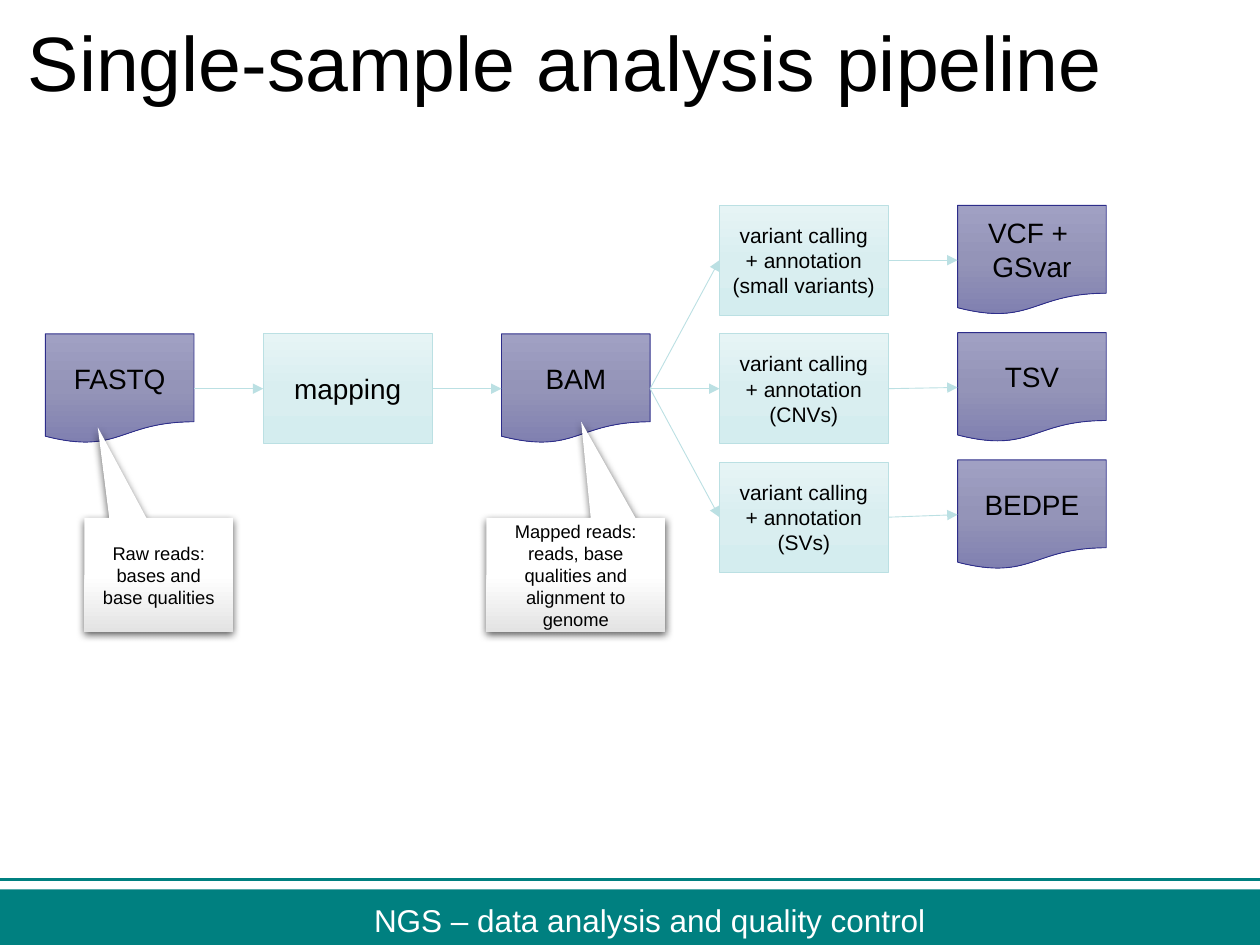
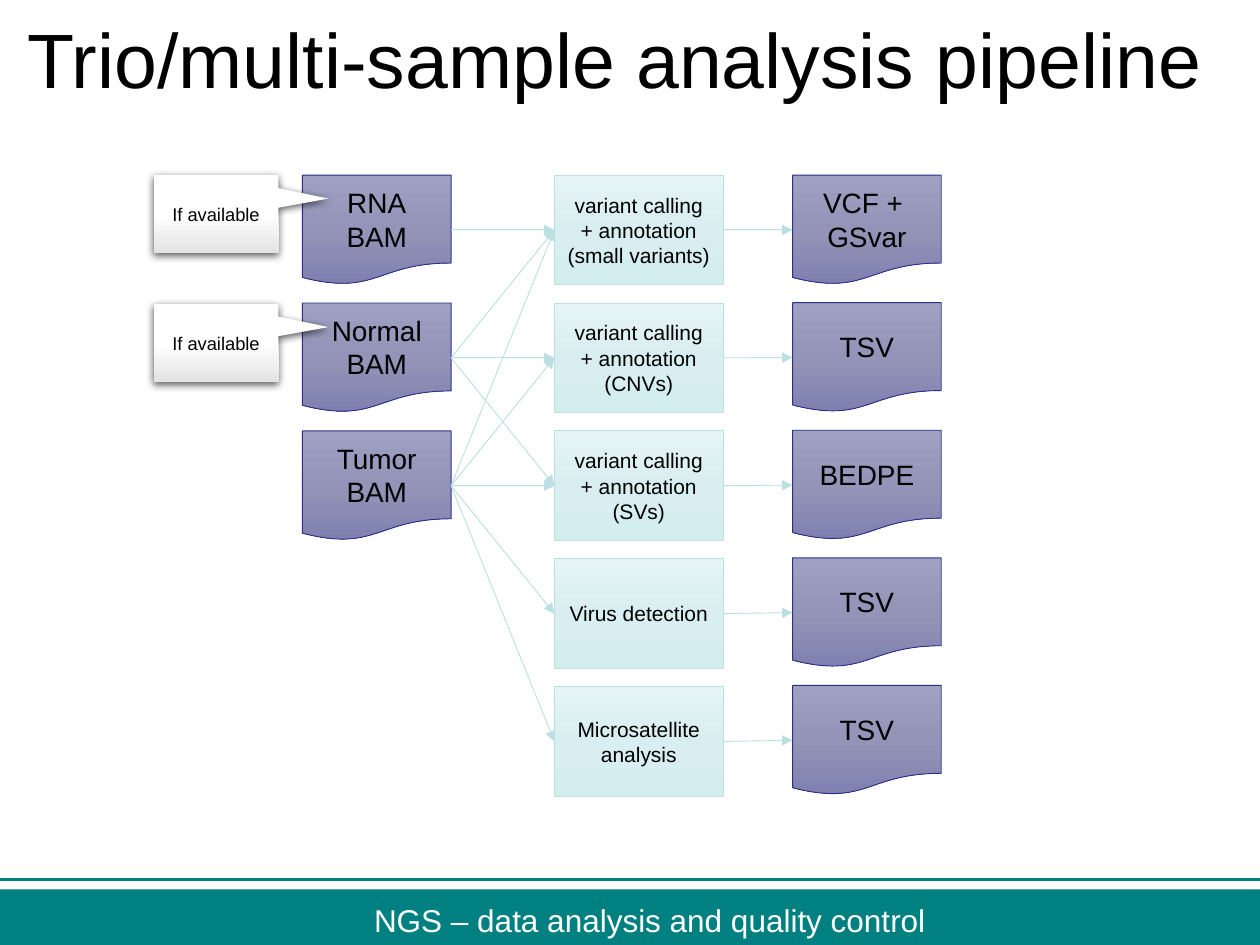
"""Build two slides that show sequencing analysis pipelines as flow charts."""
from copy import deepcopy

from lxml.etree import SubElement
from pptx import Presentation
from pptx.dml.color import RGBColor
from pptx.enum.shapes import MSO_CONNECTOR, MSO_SHAPE
from pptx.enum.text import MSO_ANCHOR, PP_ALIGN
from pptx.oxml.ns import qn
from pptx.util import Inches, Pt

FOOTER = "NGS – data analysis and quality control"
TEAL, BLACK, WHITE, ARROW = "008080", "000000", "FFFFFF", "BBE0E3"
BOX_HEIGHT = 0.87
RIGHT_SITE, LEFT_SITE = 3, 1

KINDS = {
    "file": {"preset": MSO_SHAPE.FLOWCHART_DOCUMENT, "width": 1.18, "size": 16,
             "stops": ("A0A0C3", "9494B8", "8080B0"), "line": "2D2D8A"},
    "step": {"preset": MSO_SHAPE.FLOWCHART_PROCESS, "width": 1.34, "size": 12,
             "stops": ("E6F4F5", "D9EEF0", "D4EDEF"), "line": ARROW},
    "note": {"preset": MSO_SHAPE.RECTANGULAR_CALLOUT, "size": 10.5,
             "stops": (WHITE, WHITE, "E3E3E3"), "line": None},
}
KINDS["main step"] = {**KINDS["step"], "size": 16}

CALLING = [
    ("small", ["variant calling", "+ annotation", "(small variants)"]),
    ("cnv", ["variant calling + annotation", "(CNVs)"]),
    ("sv", ["variant calling + annotation", "(SVs)"]),
]
RESULTS = [("vcf", ["VCF + ", "GSvar"]), ("tsv", ["TSV"]), ("bedpe", ["BEDPE"])]
CALLING_ARROWS = [("small", "vcf"), ("cnv", "tsv"), ("sv", "bedpe")]

SLIDES = [
    {
        "title": "Single-sample analysis pipeline",
        "title_top": 0.03,
        "columns": [
            ("file", 0.36, 2.65, 2.65, [("fastq", ["FASTQ"])]),
            ("main step", 2.09, 2.65, 2.65, [("mapping", ["mapping"])]),
            ("file", 3.98, 2.65, 2.65, [("bam", ["BAM"])]),
            ("step", 5.71, 1.63, 3.67, CALLING),
            ("file", 7.6, 1.63, 3.65, RESULTS),
        ],
        "arrows": [("fastq", "mapping"), ("mapping", "bam"), ("bam", "small"),
                   ("bam", "cnv"), ("bam", "sv")] + CALLING_ARROWS,
        "notes": [
            ((0.67, 4.11, 1.18, 0.91), (-0.41, -1.29),
             "Raw reads: bases and base qualities"),
            ((3.86, 4.11, 1.42, 0.91), (0.03, -1.34),
             "Mapped reads: reads, base qualities and alignment to genome"),
        ],
    },
    {
        "title": "Trio/multi-sample analysis pipeline",
        "title_top": 0,
        "columns": [
            ("file", 2.4, 1.39, 3.42, [("rna", ["RNA", "BAM"]),
                                       ("normal", ["Normal", "BAM"]),
                                       ("tumor", ["Tumor", "BAM"])]),
            ("step", 4.4, 1.39, 5.45, CALLING + [
                ("virus", ["Virus detection"]),
                ("microsatellite", ["Microsatellite analysis"])]),
            ("file", 6.29, 1.39, 5.44, RESULTS + [
                ("virus tsv", ["TSV"]), ("microsatellite tsv", ["TSV"])]),
        ],
        "arrows": [("rna", "small")]
        + [("normal", step) for step in ("small", "cnv", "sv")]
        + [("tumor", step) for step in ("small", "cnv", "sv", "virus", "microsatellite")]
        + CALLING_ARROWS
        + [("virus", "virus tsv"), ("microsatellite", "microsatellite tsv")],
        "notes": [((1.22, top, 0.99, 0.62), (0.9, -0.2), "If available")
                  for top in (1.39, 2.41)],
    },
]


def color(hex_value):
    """Turn a hex string into a colour."""
    return RGBColor.from_string(hex_value)


def inches(values):
    """Turn plain numbers into lengths."""
    return [Inches(value) for value in values]


def write(shape, lines, size, font_color, align, **frame_format):
    """Write one paragraph a line and format the frame and its text."""
    frame = shape.text_frame
    for name, value in {"word_wrap": True, **frame_format}.items():
        setattr(frame, name, value)
    for index, line in enumerate(lines):
        paragraph = frame.add_paragraph() if index else frame.paragraphs[0]
        paragraph.alignment = align
        run = paragraph.add_run()
        run.text = line
        for name, value in {"name": "Arial", "size": Pt(size)}.items():
            setattr(run.font, name, value)
        run.font.color.rgb = color(font_color)


def set_line(line, hex_value, width):
    """Give a line its colour and width."""
    line.color.rgb = color(hex_value)
    line.width = Pt(width)


def add_box(slide, kind, place, lines):
    """Add a flow chart box or callout with a vertical gradient."""
    style = KINDS[kind]
    shape = slide.shapes.add_shape(style["preset"], *inches(place))
    shape.shadow.inherit = False
    shape.fill.gradient()
    shape.fill.gradient_angle = 270
    stop_list = shape.element.spPr.find(qn("a:gradFill")).find(qn("a:gsLst"))
    stop_list.append(deepcopy(stop_list[0]))
    for index, stop in enumerate(shape.fill.gradient_stops):
        stop.color.rgb = color(style["stops"][index])
        stop.position = index / 2
    if style["line"]:
        set_line(shape.line, style["line"], 0.5)
    else:
        shape.line.fill.background()
    write(shape, lines, style["size"], BLACK, PP_ALIGN.CENTER,
          vertical_anchor=MSO_ANCHOR.MIDDLE)
    return shape


def add_note(slide, place, pointer, text):
    """Add a callout with a soft shadow below it."""
    shape = add_box(slide, "note", place, [text])
    for index, value in enumerate(pointer):
        shape.adjustments[index] = value
    effects = shape.element.spPr.find(qn("a:effectLst"))
    shadow = SubElement(effects, qn("a:outerShdw"), blurRad=str(Pt(4.5)),
                        dist=str(Pt(1.5)), dir="5400000", rotWithShape="0")
    shadow_color = SubElement(shadow, qn("a:srgbClr"), val=BLACK)
    SubElement(shadow_color, qn("a:alpha"), val="63000")


def add_line(slide, start, end, hex_value, width):
    """Add a straight line without a shadow."""
    line = slide.shapes.add_connector(MSO_CONNECTOR.STRAIGHT, *inches(start + end))
    set_line(line.line, hex_value, width)
    SubElement(line.element.spPr, qn("a:effectLst"))
    return line


def add_arrow(slide, source, target):
    """Join the right side of one box to the left side of another."""
    arrow = add_line(slide, (0, 0), (1, 1), ARROW, 0.5)
    arrow.begin_connect(source, RIGHT_SITE)
    arrow.end_connect(target, LEFT_SITE)
    SubElement(arrow.element.spPr.find(qn("a:ln")), qn("a:tailEnd"), type="triangle")


def add_footer(slide, layout):
    """Draw the footer band and move it to the shared layout."""
    band = slide.shapes.add_shape(MSO_SHAPE.RECTANGLE, *inches((0, 7.06, 10, 0.44)))
    band.shadow.inherit = False
    band.fill.solid()
    band.fill.fore_color.rgb = color(TEAL)
    band.line.fill.background()
    rule = add_line(slide, (0, 6.98), (10, 6.98), TEAL, 2.25)
    label = slide.shapes.add_textbox(*inches((2.87, 7.1, 4.62, 0.4)))
    write(label, [FOOTER], 18, WHITE, PP_ALIGN.LEFT, word_wrap=False)
    for shape in (band, rule, label):
        layout.shapes.element.append(shape.element)


def add_pipeline(slide, content):
    """Fill one slide with its title, boxes, arrows and notes."""
    title = slide.shapes.title
    place = inches((0.12, content["title_top"], 9.88, 0.91))
    for name, value in zip(("left", "top", "width", "height"), place):
        setattr(title, name, value)
    write(title, [content["title"]], 44, BLACK, PP_ALIGN.LEFT,
          vertical_anchor=MSO_ANCHOR.MIDDLE)
    boxes = {}
    for kind, left, first_top, last_top, items in content["columns"]:
        pitch = (last_top - first_top) / max(len(items) - 1, 1)
        for row, (key, lines) in enumerate(items):
            place = (left, first_top + row * pitch, KINDS[kind]["width"], BOX_HEIGHT)
            boxes[key] = add_box(slide, kind, place, lines)
    for source, target in content["arrows"]:
        add_arrow(slide, boxes[source], boxes[target])
    for note in content["notes"]:
        add_note(slide, *note)


presentation = Presentation()
presentation.slide_width, presentation.slide_height = inches((10, 7.5))
title_only = presentation.slide_layouts[5]
slides = [presentation.slides.add_slide(title_only) for _ in SLIDES]
add_footer(slides[0], title_only)
for slide, content in zip(slides, SLIDES):
    add_pipeline(slide, content)
presentation.save("out.pptx")
